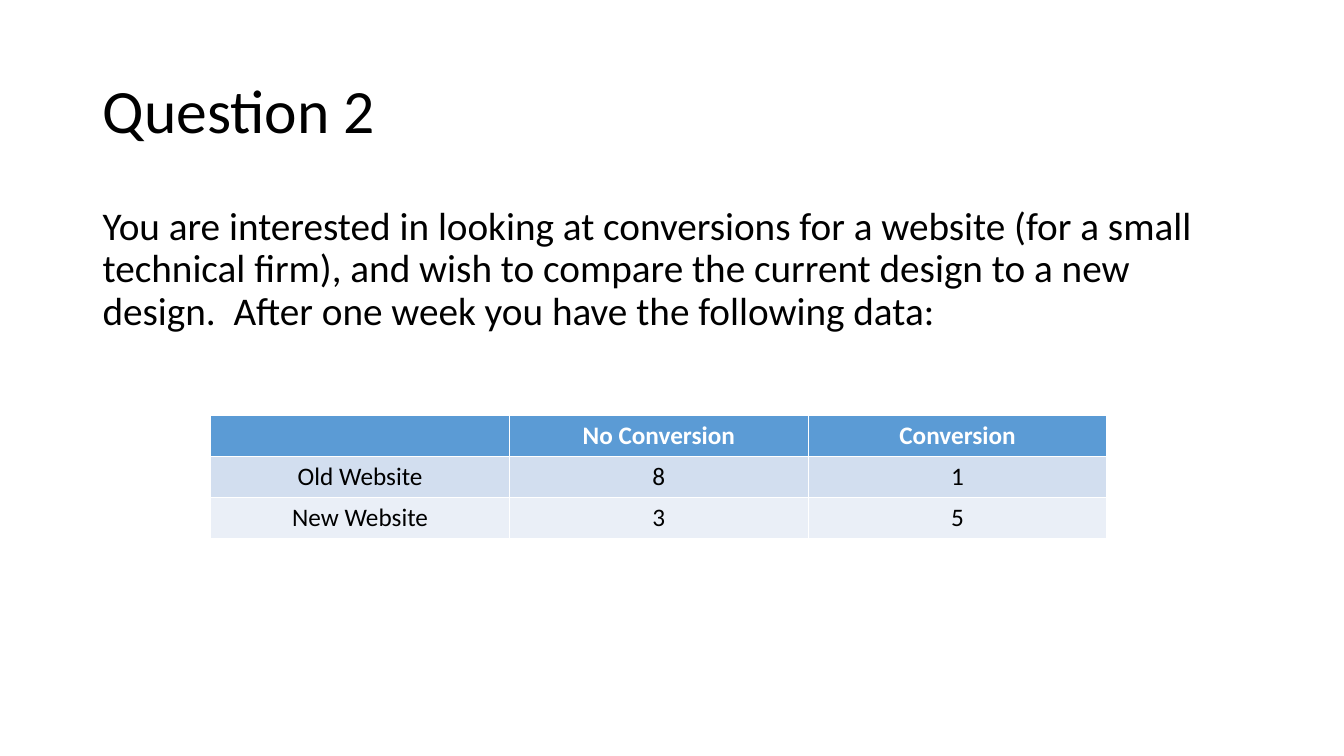
from pptx import Presentation
from pptx import util as u
from pptx.dml.color import RGBColor
from pptx.enum import text

HUES = {"ink": "000000", "white": "FFFFFF", "head": "5B9BD5",
        "odd": "D2DEEF", "even": "EAEFF7"}


def style(para, size, hue="ink", bold=False, align=text.PP_ALIGN.LEFT):
    """Set the font and alignment of a paragraph."""
    para.font.name = "Calibri"
    para.font.size = u.Pt(size)
    para.font.bold = bold
    para.font.color.rgb = RGBColor.from_string(HUES[hue])
    para.alignment = align


deck = Presentation()
deck.slide_width, deck.slide_height = u.Inches(13.33), u.Inches(7.5)
slide = deck.slides.add_slide(deck.slide_layouts[5])

# Title
title = slide.shapes.title
title.left, title.top = u.Inches(0.92), u.Inches(0.4)
title.width, title.height = u.Inches(11.5), u.Inches(1.45)
title.text_frame.text = "Question 2"
title.text_frame.vertical_anchor = text.MSO_ANCHOR.MIDDLE
para = title.text_frame.paragraphs[0]
para.line_spacing = 0.9
style(para, 44)

# Question
body = slide.shapes.add_textbox(u.Inches(0.92), u.Inches(2),
                                u.Inches(11.5), u.Inches(4.76))
body.text_frame.word_wrap = True
body.text_frame.text = (
    "You are interested in looking at conversions for a website (for a small "
    "technical firm), and wish to compare the current design to a new design.  "
    "After one week you have the following data: ")
para = body.text_frame.paragraphs[0]
para.line_spacing = 0.9
para.space_before = u.Pt(10)
style(para, 28)

# Conversion counts; the default table style supplies the white borders
rows = [("", "No Conversion", "Conversion"),
        ("Old Website", "8", "1"),
        ("New Website", "3", "5")]
fills = ["head", "odd", "even"]
table = slide.shapes.add_table(3, 3, u.Inches(2.09), u.Inches(4.12),
                               u.Inches(8.89), u.Inches(1.22)).table
for r, row in enumerate(rows):
    for c, word in enumerate(row):
        cell = table.cell(r, c)
        cell.text = word
        cell.fill.solid()
        cell.fill.fore_color.rgb = RGBColor.from_string(HUES[fills[r]])
        style(cell.text_frame.paragraphs[0], 18, "ink" if r else "white",
              r == 0, text.PP_ALIGN.CENTER)

deck.save("out.pptx")
